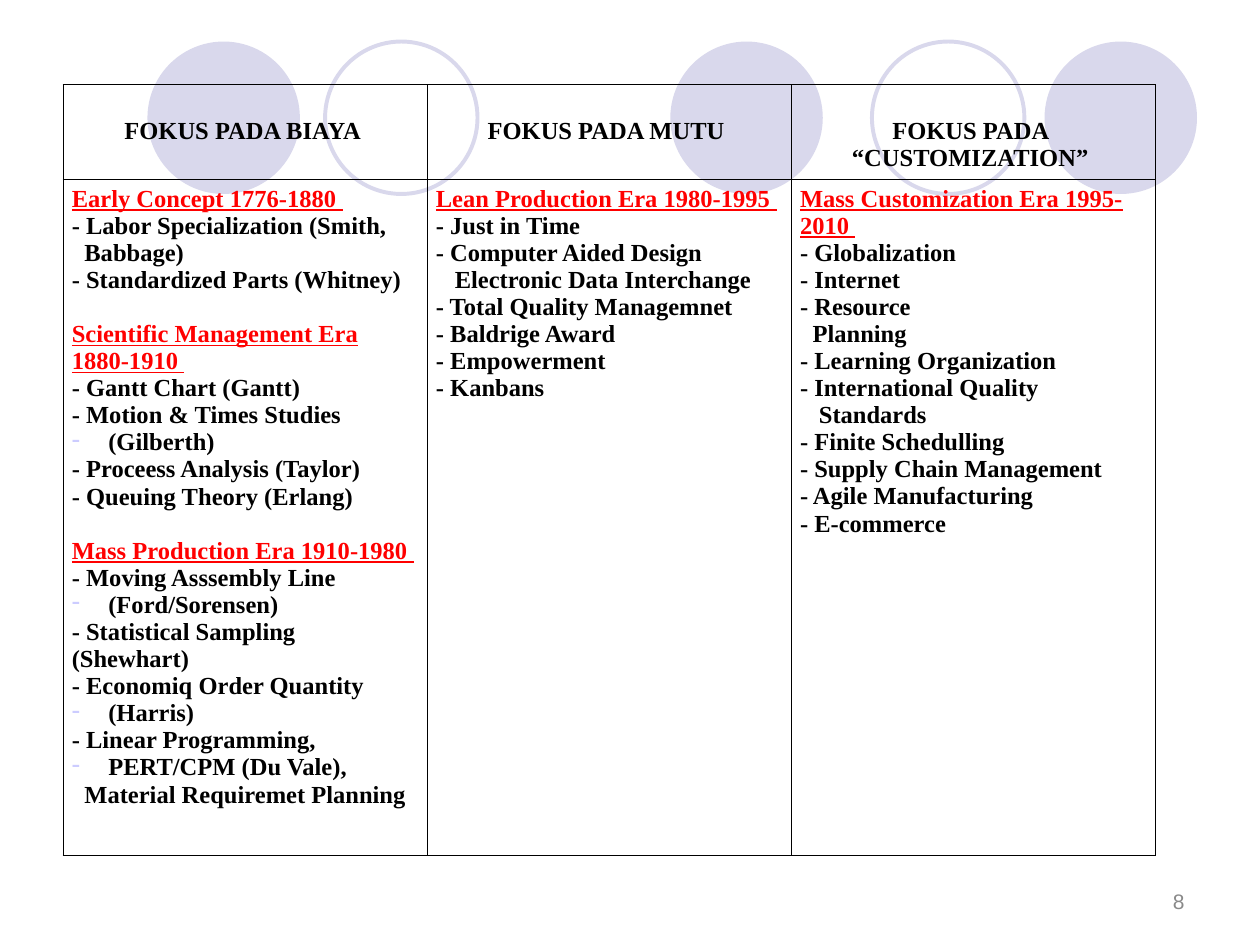
from dataclasses import dataclass

from lxml.etree import SubElement
from pptx import Presentation
from pptx.dml.color import RGBColor
from pptx.enum.shapes import MSO_SHAPE
from pptx.enum.text import MSO_ANCHOR, PP_ALIGN
from pptx.oxml.ns import qn
from pptx.util import Inches, Pt

BLACK, RED, LILAC, BULLET, GREY = "000000", "FF0000", "D9D8EC", "CCCCFF", "898989"
BODY_SIZE = 14
LINE_HEIGHT = 15.5
BORDER_WIDTH = Pt(0.45)


@dataclass(frozen=True)
class Circle:
    left: float
    top: float
    filled: bool


@dataclass(frozen=True)
class Line:
    text: str
    indent: float = 0
    bulleted: bool = False


@dataclass(frozen=True)
class Era:
    title: str
    lines: tuple[Line, ...]


@dataclass(frozen=True)
class Focus:
    heading: str
    eras: tuple[Era, ...]


CIRCLES = (
    Circle(5.32, 0.33, True),
    Circle(8.29, 0.33, True),
    Circle(1.17, 0.33, True),
    Circle(6.92, 0.33, False),
    Circle(2.58, 0.33, False),
)

FOCUSES = (
    Focus("FOKUS PADA BIAYA ", (
        Era("Early Concept 1776-1880 ", (
            Line("- Labor Specialization (Smith,"),
            Line("Babbage)", 0.1),
            Line("- Standardized Parts (Whitney)"),
        )),
        Era("Scientific Management Era 1880-1910 ", (
            Line("- Gantt Chart (Gantt)"),
            Line("- Motion & Times Studies"),
            Line("(Gilberth)", 0.29, True),
            Line("- Proceess Analysis (Taylor)"),
            Line("- Queuing Theory (Erlang)"),
        )),
        Era("Mass Production Era 1910-1980 ", (
            Line("- Moving Asssembly Line"),
            Line("(Ford/Sorensen)", 0.29, True),
            Line("- Statistical Sampling (Shewhart)"),
            Line("- Economiq Order Quantity"),
            Line("(Harris)", 0.29, True),
            Line("- Linear Programming,"),
            Line("PERT/CPM (Du Vale),", 0.29, True),
            Line("Material Requiremet Planning", 0.1),
        )),
    )),
    Focus("FOKUS PADA MUTU ", (
        Era("Lean Production Era 1980-1995 ", (
            Line("- Just in Time"),
            Line("- Computer Aided Design"),
            Line("Electronic Data Interchange", 0.15),
            Line("- Total Quality Managemnet"),
            Line("- Baldrige Award"),
            Line("- Empowerment"),
            Line("- Kanbans"),
        )),
    )),
    Focus("FOKUS PADA \n“CUSTOMIZATION” ", (
        Era("Mass Customization Era 1995-2010 ", (
            Line("- Globalization"),
            Line("- Internet"),
            Line("- Resource"),
            Line("Planning", 0.1),
            Line("- Learning Organization"),
            Line("- International Quality"),
            Line("Standards", 0.15),
            Line("- Finite Schedulling"),
            Line("- Supply Chain Management"),
            Line("- Agile Manufacturing"),
            Line("- E-commerce"),
        )),
    )),
)


def color(value: str) -> RGBColor:
    return RGBColor.from_string(value)


def format_runs(para, size: float, font: str, hue: str, bold: bool = False) -> None:
    for span in para.runs:
        span.font.size = Pt(size)
        span.font.name = font
        span.font.bold = bold
        span.font.color.rgb = color(hue)


def draw_circle(page, circle: Circle) -> None:
    shape = page.shapes.add_shape(
        MSO_SHAPE.OVAL, Inches(circle.left), Inches(circle.top), Inches(1.21), Inches(1.21))
    shape.shadow.inherit = False
    if circle.filled:
        shape.fill.solid()
        shape.fill.fore_color.rgb = color(LILAC)
        shape.line.fill.background()
    else:
        shape.fill.background()
        shape.line.color.rgb = color(LILAC)
        shape.line.width = Pt(2.25)


def style_cell(cell) -> None:
    cell.margin_left = cell.margin_right = Inches(0.07)
    cell.margin_top = cell.margin_bottom = Inches(0.05)
    properties = cell._tc.get_or_add_tcPr()
    for side in ("a:lnL", "a:lnR", "a:lnT", "a:lnB"):
        border = SubElement(properties, qn(side), w=str(int(BORDER_WIDTH)))
        fill = SubElement(border, qn("a:solidFill"))
        SubElement(fill, qn("a:srgbClr"), val=BLACK)
    cell.fill.background()


def indent_line(para, line: Line) -> None:
    properties = para._p.get_or_add_pPr()
    properties.set("marL", str(Inches(line.indent)))
    if line.bulleted:
        properties.set("indent", str(-Inches(line.indent)))
        hue = SubElement(properties, qn("a:buClr"))
        SubElement(hue, qn("a:srgbClr"), val=BULLET)
        SubElement(properties, qn("a:buChar"), char="-")


def write_heading(cell, heading: str) -> None:
    style_cell(cell)
    cell.margin_top = Inches(0.05) + Pt(LINE_HEIGHT)
    cell.text_frame.text = heading
    for para in cell.text_frame.paragraphs:
        para.alignment = PP_ALIGN.CENTER
        format_runs(para, BODY_SIZE, "Times New Roman", BLACK, bold=True)


def write_eras(cell, eras: tuple[Era, ...]) -> None:
    style_cell(cell)
    frame = cell.text_frame
    for index, era in enumerate(eras):
        title = frame.add_paragraph() if index else frame.paragraphs[0]
        title.text = era.title
        if index:
            title.space_before = Pt(LINE_HEIGHT)
        format_runs(title, BODY_SIZE, "Times New Roman", RED, bold=True)
        title.runs[0].font.underline = True
        for line in era.lines:
            para = frame.add_paragraph()
            para.text = line.text
            indent_line(para, line)
            format_runs(para, BODY_SIZE, "Times New Roman", BLACK, bold=True)


def draw_focus_table(page) -> None:
    table = page.shapes.add_table(
        2, len(FOCUSES), Inches(0.5), Inches(0.67), Inches(8.67), Inches(6.12)).table
    table.first_row = table.horz_banding = False
    table.rows[0].height, table.rows[1].height = Inches(0.75), Inches(5.37)
    for column, focus in enumerate(FOCUSES):
        write_heading(table.cell(0, column), focus.heading)
        write_eras(table.cell(1, column), focus.eras)


def draw_page_number(page, number: str) -> None:
    box = page.shapes.add_textbox(Inches(7.17), Inches(6.95), Inches(2.33), Inches(0.4))
    frame = box.text_frame
    frame.word_wrap = True
    frame.vertical_anchor = MSO_ANCHOR.MIDDLE
    frame.text = number
    frame.paragraphs[0].alignment = PP_ALIGN.RIGHT
    format_runs(frame.paragraphs[0], 12, "Arial", GREY)


def main() -> None:
    """Build the slide on the three eras of operations focus."""
    deck = Presentation()
    deck.slide_width, deck.slide_height = Inches(10), Inches(7.5)
    page = deck.slides.add_slide(deck.slide_layouts[6])
    for circle in CIRCLES:
        draw_circle(page, circle)
    draw_focus_table(page)
    draw_page_number(page, "8")
    deck.save("out.pptx")


if __name__ == "__main__":
    main()
